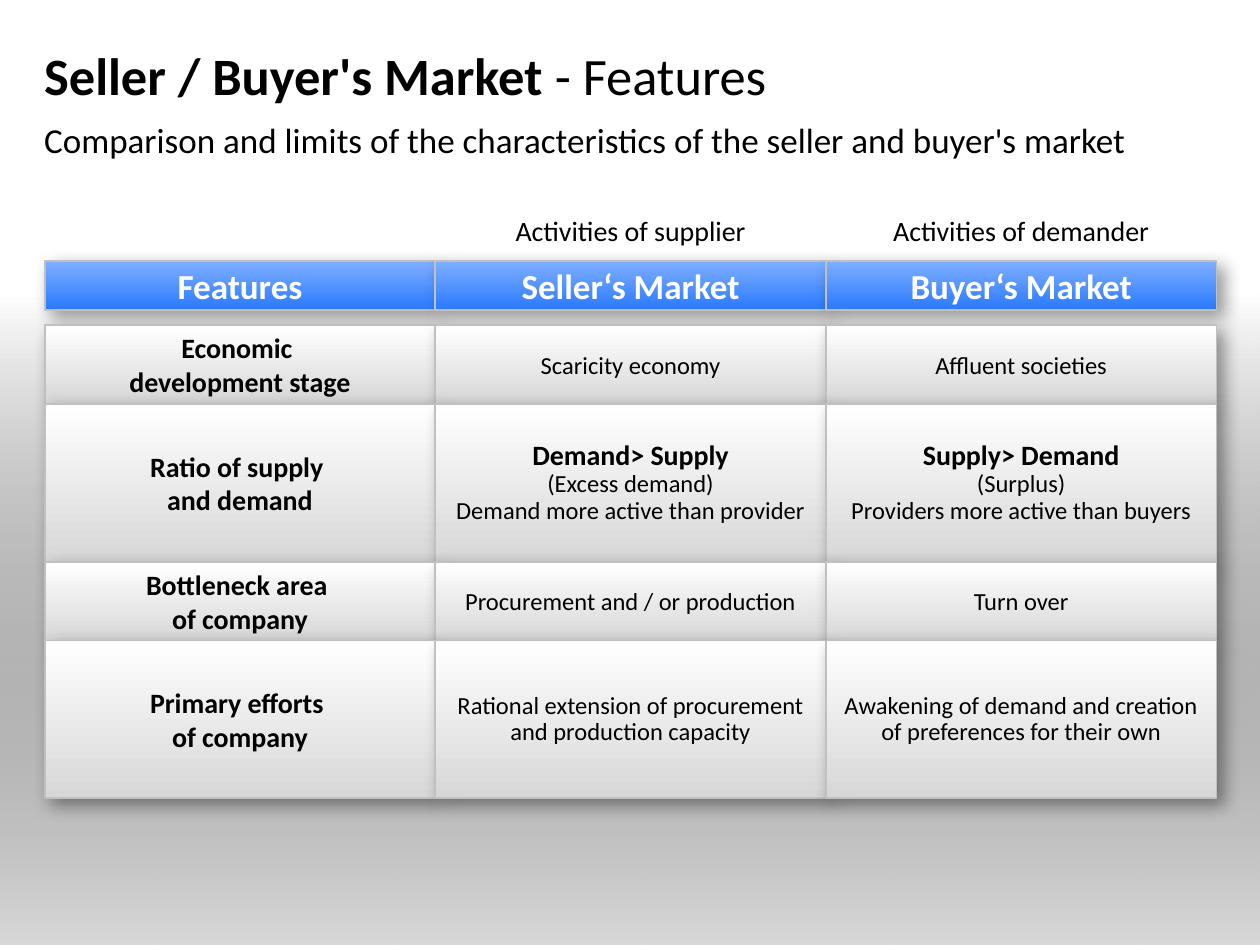
import pptx
import pptx.util
import pptx.dml.color
import pptx.enum.shapes
import pptx.enum.text
import pptx.oxml
import pptx.oxml.ns

RGB = pptx.dml.color.RGBColor
BLACK = RGB(0, 0, 0)
WHITE = RGB(255, 255, 255)
BLUE = RGB(0x2A, 0x79, 0xFF)
SKY = RGB(0x7F, 0xAF, 0xFF)
GREY = RGB(0xD7, 0xD7, 0xD7)
EDGE = RGB(0xC0, 0xC0, 0xC0)

FONT = "Calibri"
LEFT = pptx.enum.text.PP_ALIGN.LEFT
MID = pptx.enum.text.PP_ALIGN.CENTER
WIDE, HIGH = 10, 7.5
EDGE_X, COL = 0.355, 3.1
BODY_Y, UNIT = 2.58, 0.626
NS = pptx.oxml.ns.nsdecls("a")
SHADOW = (
    f'<a:effectLst {NS}><a:outerShdw blurRad="127000" dist="63500" '
    'dir="2700000" algn="tl" rotWithShape="0"><a:srgbClr val="000000">'
    '<a:alpha val="40000"/></a:srgbClr></a:outerShdw></a:effectLst>'
)

HEADS = ["Features", "Seller‘s Market", "Buyer‘s Market"]
SIDES = ["Activities of supplier", "Activities of demander"]
ROWS = [
    (1, ["Economic ", "development stage"],
     ["Scaricity economy"], ["Affluent societies"]),
    (2, ["Ratio of supply ", "and demand"],
     ["Demand> Supply", "(Excess demand)", "Demand more active than provider"],
     ["Supply> Demand", "(Surplus)", "Providers more active than buyers"]),
    (1, ["Bottleneck area ", "of company"],
     ["Procurement and / or production"], ["Turn over"]),
    (2, ["Primary efforts ", "of company"],
     ["Rational extension of procurement and production capacity"],
     ["Awakening of demand and creation of preferences for their own"]),
]


def inch(*nums):
    return [pptx.util.Inches(n) for n in nums]


def add_run(para, text, size, bold=False, color=BLACK):
    run = para.add_run()
    run.text = text
    run.font.name = FONT
    run.font.size = pptx.util.Pt(size)
    run.font.bold = bold
    run.font.color.rgb = color


def set_frame(shape, align, pad=(0, 0), anchor="MIDDLE"):
    frame = shape.text_frame
    frame.word_wrap = True
    frame.auto_size = pptx.enum.text.MSO_AUTO_SIZE.NONE
    frame.vertical_anchor = pptx.enum.text.MSO_ANCHOR[anchor]
    frame.margin_left, frame.margin_top = inch(*pad)
    frame.margin_right, frame.margin_bottom = inch(*pad)
    frame.paragraphs[0].alignment = align
    return frame


def add_label(slide, box, text, size, align, **look):
    shape = slide.shapes.add_textbox(*inch(*box))
    frame = set_frame(shape, align, **look)
    add_run(frame.paragraphs[0], text, size)


def add_rect(slide, box, low, high):
    kind = pptx.enum.shapes.MSO_SHAPE.RECTANGLE
    shape = slide.shapes.add_shape(kind, *inch(*box))
    shape.fill.gradient()
    shape.fill.gradient_angle = 90
    for stop, color in zip(shape.fill.gradient_stops, (low, high)):
        stop.color.rgb = color
    return shape


def add_fade(slide):
    top = HIGH * 0.31
    shape = add_rect(slide, (0, top, WIDE, HIGH - top), BLACK, WHITE)
    shape.shadow.inherit = False
    shape.line.fill.background()
    tint = shape.fill._xPr.find(".//" + pptx.oxml.ns.qn("a:srgbClr"))
    tint.append(pptx.oxml.parse_xml(f'<a:alpha {NS} val="15000"/>'))


def add_cell(slide, col, top, tall, low, high, pad=(0.1, 0.05)):
    box = (EDGE_X + col * COL, top, COL, tall)
    shape = add_rect(slide, box, low, high)
    shape.line.color.rgb = EDGE
    shape.line.width = pptx.util.Pt(1)
    shape._element.spPr.append(pptx.oxml.parse_xml(SHADOW))
    return set_frame(shape, MID, pad)


def add_title(slide):
    title = slide.shapes.title
    title.left, title.top, title.width, title.height = inch(0.35, 0.26, 9.29, 0.67)
    para = set_frame(title, LEFT).paragraphs[0]
    add_run(para, "Seller / Buyer's Market ", 30, True)
    add_run(para, "- Features", 30)
    add_label(slide, (0.35, 0.94, 9.29, 0.37),
              "Comparison and limits of the characteristics of the seller and buyer's market",
              20, LEFT, anchor="TOP")


def add_heads(slide):
    for col, text in enumerate(SIDES, 1):
        add_label(slide, (EDGE_X + col * COL, 1.63, COL, 0.39),
                  text, 16, MID, pad=(0.1, 0.05))
    for col, text in enumerate(HEADS):
        frame = add_cell(slide, col, 2.07, 0.39, BLUE, SKY, (0, 0))
        add_run(frame.paragraphs[0], text, 20, True, WHITE)


def fill_name(frame, lines):
    para = frame.paragraphs[0]
    add_run(para, lines[0], 16, True)
    para.add_line_break()
    add_run(para, lines[1], 16, True)


def fill_text(frame, lines, tight):
    for i, text in enumerate(lines):
        para = frame.add_paragraph() if i else frame.paragraphs[0]
        para.alignment = MID
        if tight:
            para.line_spacing = 0.9
        lead = i == 0 and len(lines) > 1
        add_run(para, text, 16 if lead else 14, lead)


def add_rows(slide):
    top = BODY_Y
    for span, name, *texts in ROWS:
        tall = span * UNIT
        fill_name(add_cell(slide, 0, top, tall, GREY, WHITE), name)
        for col, lines in enumerate(texts, 1):
            frame = add_cell(slide, col, top, tall, GREY, WHITE)
            fill_text(frame, lines, span > 1)
        top += tall


def main():
    deck = pptx.Presentation()
    deck.slide_width, deck.slide_height = inch(WIDE, HIGH)
    slide = deck.slides.add_slide(deck.slide_layouts[5])
    add_fade(slide)
    add_title(slide)
    add_heads(slide)
    add_rows(slide)
    deck.save("out.pptx")


if __name__ == "__main__":
    main()
